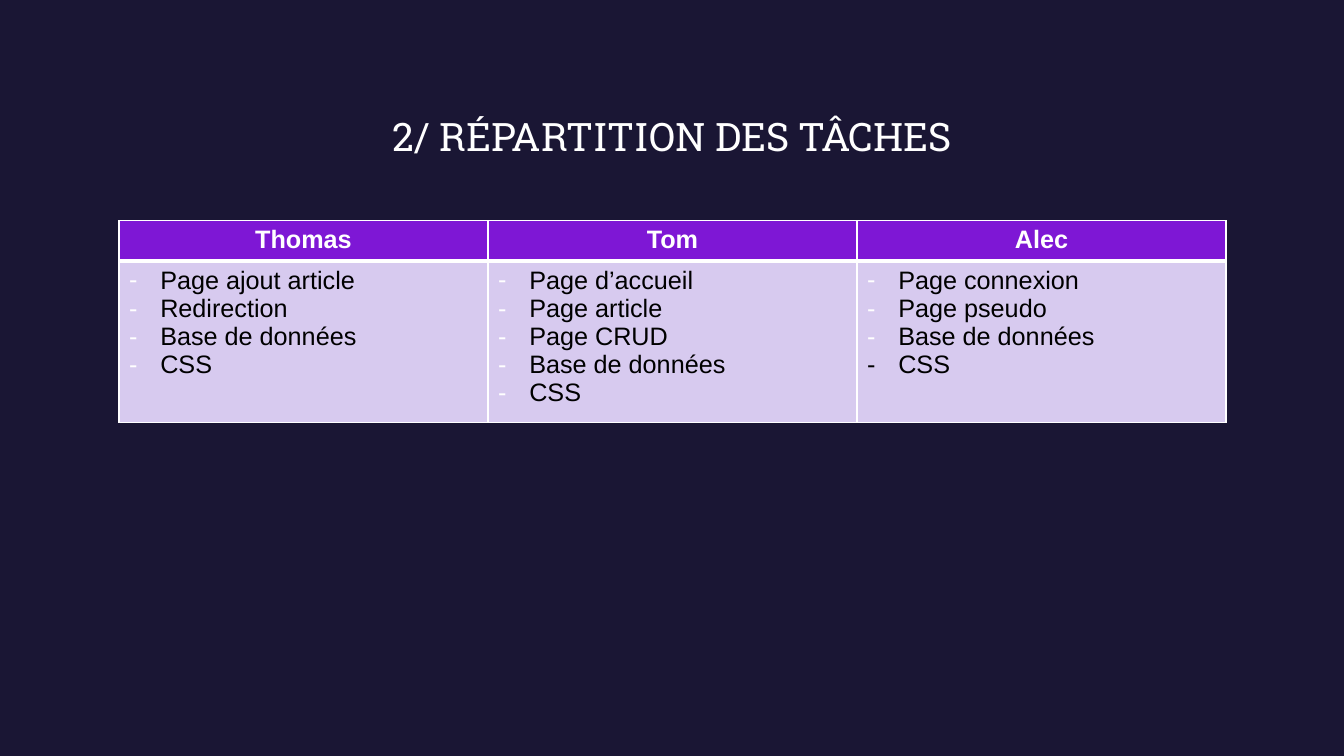
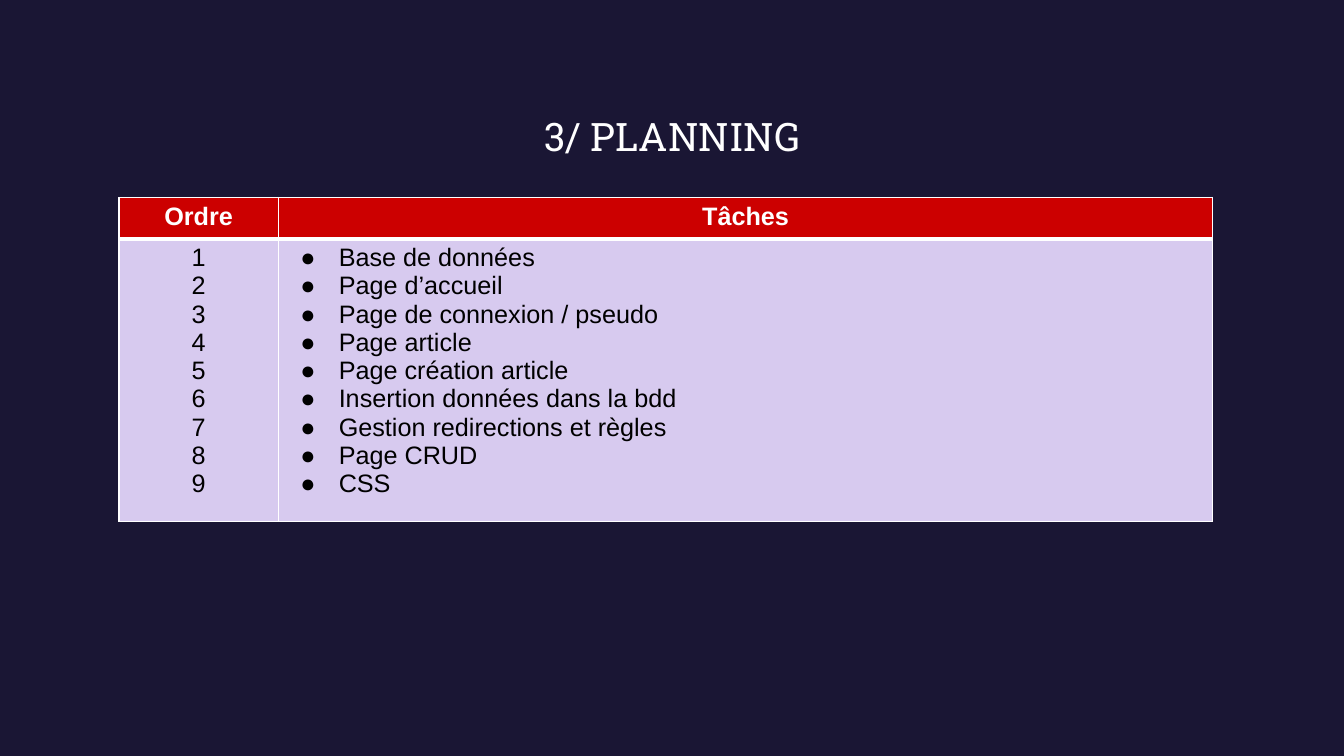
from pptx import Presentation, util as u
from pptx.dml.color import RGBColor
from pptx.enum import text
from pptx.oxml import ns
from lxml import etree

# Content: a column is (heading, width, list style, lines)
DASH = {"bullet": "-", "color": "FFFFFF", "margin": 0.31, "hang": 0.31}
DOT = {"bullet": "●", "color": "000000", "margin": 0.5, "hang": 0.38}
SLIDES = [
    {
        "title": "2/ RÉPARTITION DES TÂCHES",
        "top": 2.19, "header_height": 0.38, "header_fill": "7E17D5",
        "columns": [
            ("Thomas", 3.66, DASH,
             ["Page ajout article", "Redirection", "Base de données", "CSS"]),
            ("Tom", 3.66, DASH,
             ["Page d’accueil", "Page article", "Page CRUD", "Base de données", "CSS"]),
            ("Alec", 3.66, DASH,
             ["Page connexion", "Page pseudo", "Base de données", "CSS"]),
        ],
        "dark_bullets": [("Alec", "CSS")],
    },
    {
        "title": "3/ PLANNING",
        "top": 1.96, "header_height": 0.41, "header_fill": "CC0000",
        "columns": [
            ("Ordre", 1.58, None, [str(number) for number in range(1, 10)]),
            ("Tâches", 9.27, DOT,
             ["Base de données", "Page d’accueil", "Page de connexion / pseudo",
              "Page article", "Page création article", "Insertion données dans la bdd",
              "Gestion redirections et règles", "Page CRUD", "CSS"]),
        ],
        "dark_bullets": [],
    },
]

# Shared style
BACKGROUND, WHITE, BLACK, BODY_FILL = "1A1634", "FFFFFF", "000000", "D7CAEF"
LEFT, LINE_HEIGHT, CELL_PADDING = 1.18, 0.28, 0.1
THIN, THICK = 1, 3


def rgb(value):
    return RGBColor.from_string(value)


def style_paragraph(paragraph, size, font, color, bold=False, centred=True):
    paragraph.alignment = text.PP_ALIGN.CENTER if centred else text.PP_ALIGN.LEFT
    for run in paragraph.runs:
        run.font.size = u.Pt(size)
        run.font.name = font
        run.font.bold = bold
        run.font.color.rgb = rgb(color)


def add_bullet(paragraph, style, color):
    properties = paragraph._p.get_or_add_pPr()
    properties.set("marL", str(u.Inches(style["margin"])))
    properties.set("indent", str(-u.Inches(style["hang"])))
    bullet_color = etree.SubElement(properties, ns.qn("a:buClr"))
    etree.SubElement(bullet_color, ns.qn("a:srgbClr"), val=color)
    etree.SubElement(properties, ns.qn("a:buFont"), typeface="Arial")
    etree.SubElement(properties, ns.qn("a:buChar"), char=style["bullet"])


def style_cell(cell, fill, top=THIN, bottom=THIN):
    cell.fill.solid()
    cell.fill.fore_color.rgb = rgb(fill)
    properties = cell._tc.get_or_add_tcPr()
    borders = [("L", THIN), ("R", THIN), ("T", top), ("B", bottom)]
    for index, (side, width) in enumerate(borders):
        line = etree.Element(ns.qn("a:ln" + side), w=str(u.Pt(width)))
        line_fill = etree.SubElement(line, ns.qn("a:solidFill"))
        etree.SubElement(line_fill, ns.qn("a:srgbClr"), val=WHITE)
        properties.insert(index, line)


def add_title(slide, title):
    box = slide.shapes.add_textbox(
        u.Inches(LEFT), u.Inches(1.11), u.Inches(10.97), u.Inches(0.72))
    frame = box.text_frame
    frame.word_wrap = True
    frame.margin_left = frame.margin_right = frame.margin_top = frame.margin_bottom = 0
    frame.text = title
    style_paragraph(frame.paragraphs[0], 28, "Roboto Slab", WHITE)


def add_task_table(slide, content):
    columns = content["columns"]
    most_lines = max(len(lines) for *_, lines in columns)
    heights = [content["header_height"], most_lines * LINE_HEIGHT + CELL_PADDING]
    total_width = sum(width for _, width, *_ in columns)
    table = slide.shapes.add_table(
        2, len(columns), u.Inches(LEFT), u.Inches(content["top"]),
        u.Inches(total_width), u.Inches(sum(heights))).table
    for row, height in zip(table.rows, heights):
        row.height = u.Inches(height)

    for index, (heading, width, list_style, lines) in enumerate(columns):
        table.columns[index].width = u.Inches(width)
        header, body = table.cell(0, index), table.cell(1, index)

        header.text_frame.text = heading
        style_paragraph(header.text_frame.paragraphs[0], 18, "Arial", WHITE, bold=True)
        style_cell(header, content["header_fill"], bottom=THICK)

        body.text_frame.text = "\n".join(lines)
        for paragraph in body.text_frame.paragraphs:
            style_paragraph(paragraph, 18, "Arial", BLACK, centred=list_style is None)
            if list_style:
                dark = (heading, paragraph.text) in content["dark_bullets"]
                add_bullet(paragraph, list_style, BLACK if dark else list_style["color"])
        style_cell(body, BODY_FILL, top=THICK)


def main():
    presentation = Presentation()
    presentation.slide_width = u.Inches(13.33)
    presentation.slide_height = u.Inches(7.5)
    for content in SLIDES:
        slide = presentation.slides.add_slide(presentation.slide_layouts[6])
        slide.background.fill.solid()
        slide.background.fill.fore_color.rgb = rgb(BACKGROUND)
        add_title(slide, content["title"])
        add_task_table(slide, content)
    presentation.save("out.pptx")


if __name__ == "__main__":
    main()
